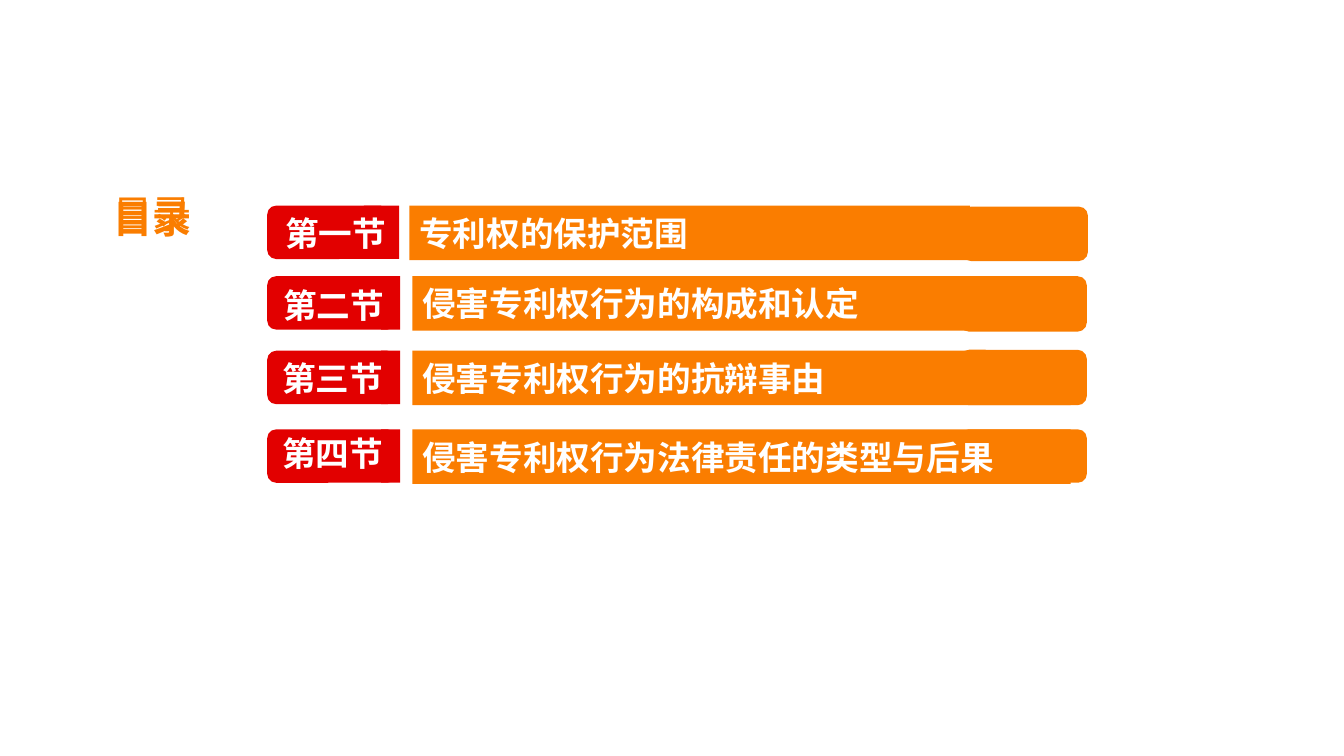
from dataclasses import dataclass

from lxml.etree import SubElement
from pptx import Presentation
from pptx.dml.color import RGBColor
from pptx.enum.shapes import MSO_SHAPE
from pptx.enum.text import MSO_ANCHOR, MSO_AUTO_SIZE, PP_ALIGN
from pptx.oxml.ns import qn
from pptx.shapes.autoshape import Shape
from pptx.shapes.shapetree import GroupShapes, SlideShapes
from pptx.text.text import TextFrame
from pptx.util import Inches, Pt


@dataclass(frozen=True)
class Theme:
    """Colours, font and type sizes of the slide."""
    orange: RGBColor = RGBColor(0xFA, 0x7D, 0x00)
    red: RGBColor = RGBColor(0xE2, 0x00, 0x00)
    white: RGBColor = RGBColor(0xFF, 0xFF, 0xFF)
    font: str = "Noto Sans CJK SC"
    title: int = 28
    body: int = 24


@dataclass(frozen=True)
class Box:
    """A rectangle measured in inches."""
    left: float
    top: float
    width: float
    height: float

    def emu(self) -> tuple[int, ...]:
        """Return left, top, width and height as lengths."""
        return tuple(Inches(v) for v in (self.left, self.top, self.width, self.height))


@dataclass(frozen=True)
class Section:
    """One row of the contents list."""
    number: str
    name: str
    top: float
    label: Box
    cap: Box
    tag_width: float = 1.28
    edge_left: float = 3.78
    edge_width: float = 0.19
    bar_left: float = 4.09
    bar_width: float = 6.53


THEME = Theme()
TAG_LEFT, TAG_HEIGHT, BAR_HEIGHT = 2.65, 0.53, 0.54
TITLE_TOPS = ((1.83, False), (1.88, True))
SECTIONS = (
    Section("第一节", "专利权的保护范围", 2.04, Box(2.73, 2.06, 1.43, 0.84),
            Box(9.54, 2.05, 1.25, 0.54), 1.21, 3.61, 0.35, 4.06, 5.56),
    Section("第二节", "侵害专利权行为的构成和认定", 2.74,
            Box(2.71, 2.78, 1.21, 0.5), Box(9.52, 2.74, 1.26, 0.55)),
    Section("第三节", "侵害专利权行为的抗辩事由", 3.48,
            Box(2.7, 3.5, 1.21, 0.5), Box(9.52, 3.47, 1.26, 0.55)),
    Section("第四节", "侵害专利权行为法律责任的类型与后果", 4.26,
            Box(2.7, 4.25, 1.21, 0.5), Box(9.52, 4.26, 1.26, 0.53)),
)


def write(tf: TextFrame, text: str, size: int, color: RGBColor, bold: bool = True) -> None:
    """Put one left-aligned, formatted line into a text frame."""
    tf.text = text
    p = tf.paragraphs[0]
    p.alignment = PP_ALIGN.LEFT
    r = p.runs[0]
    r.font.size, r.font.bold, r.font.name = Pt(size), bold, THEME.font
    r.font.color.rgb = color
    SubElement(r._r.get_or_add_rPr(), qn("a:ea"), typeface=THEME.font)


def add_block(shapes: SlideShapes | GroupShapes, kind: MSO_SHAPE, box: Box,
              color: RGBColor) -> Shape:
    """Add a flat filled shape without outline."""
    sp = shapes.add_shape(kind, *box.emu())
    sp.shadow.inherit = False
    sp.fill.solid()
    sp.fill.fore_color.rgb = color
    sp.line.fill.background()
    return sp


def add_label(shapes: SlideShapes, box: Box, text: str, size: int, color: RGBColor,
              bold: bool = True, wrap: bool = True) -> None:
    """Add a text box that grows with its text."""
    tf = shapes.add_textbox(*box.emu()).text_frame
    tf.word_wrap = wrap
    tf.auto_size = MSO_AUTO_SIZE.SHAPE_TO_FIT_TEXT
    write(tf, text, size, color, bold)


def add_section(shapes: SlideShapes, row: Section) -> None:
    """Draw the red tag, orange bar and texts of one section."""
    add_block(shapes, MSO_SHAPE.ROUNDED_RECTANGLE, row.cap, THEME.orange)
    parts = shapes.add_group_shape().shapes
    add_block(parts, MSO_SHAPE.ROUNDED_RECTANGLE,
              Box(TAG_LEFT, row.top, row.tag_width, TAG_HEIGHT), THEME.red)
    add_block(parts, MSO_SHAPE.RECTANGLE,
              Box(row.edge_left, row.top, row.edge_width, TAG_HEIGHT), THEME.red)
    bar = add_block(parts, MSO_SHAPE.RECTANGLE,
                    Box(row.bar_left, row.top, row.bar_width, BAR_HEIGHT), THEME.orange)
    tf = bar.text_frame
    tf.word_wrap = True
    tf.vertical_anchor = MSO_ANCHOR.MIDDLE
    write(tf, row.name, THEME.body, THEME.white)
    add_label(shapes, row.label, row.number, THEME.body, THEME.white)


def main() -> None:
    """Build the contents slide and save it."""
    prs = Presentation()
    prs.slide_width, prs.slide_height = Inches(13.33), Inches(7.5)
    s = prs.slides.add_slide(prs.slide_layouts[6])
    for top, bold in TITLE_TOPS:
        add_label(s.shapes, Box(1.03, top, 0.99, 0.57), "目录", THEME.title,
                  THEME.orange, bold, wrap=False)
    for row in SECTIONS:
        add_section(s.shapes, row)
    prs.save("out.pptx")


if __name__ == "__main__":
    main()
